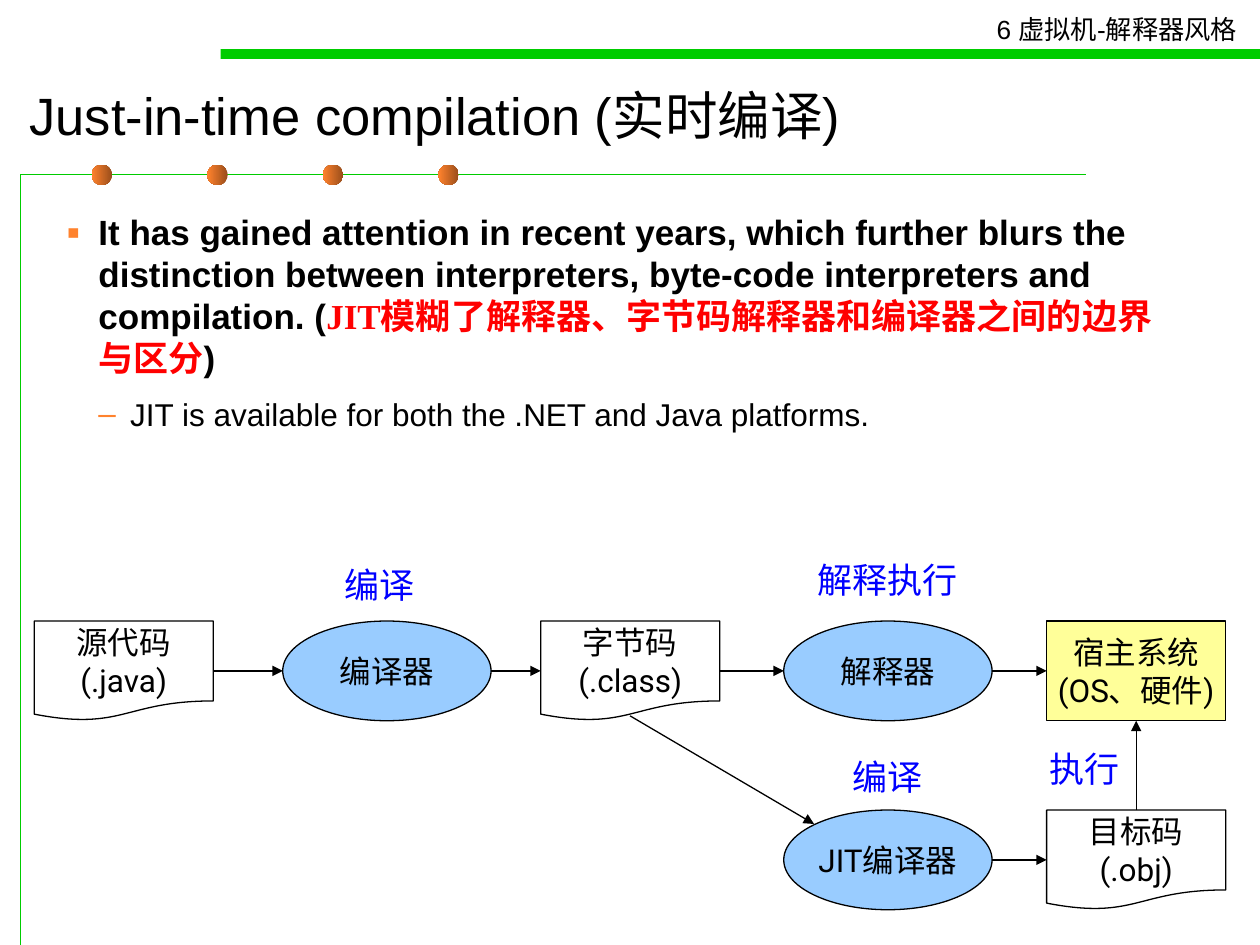
from dataclasses import dataclass

import lxml.etree
import pptx
import pptx.dml.color
import pptx.enum.shapes
import pptx.enum.text
import pptx.oxml.ns
import pptx.shapes.autoshape
import pptx.util
from pptx.util import Cm, Pt

COLORS = {
    "text": "000000",
    "rule": "00CC00",
    "bead_dark": "9A4E1B",
    "accent": "FF822D",
    "emphasis": "FF0000",
    "label": "0000FF",
    "document": "FFFFFF",
    "process": "99CCFF",
    "host": "FFFF99",
}
SHAPES = pptx.enum.shapes.MSO_SHAPE
ANCHOR = pptx.enum.text.MSO_ANCHOR
AUTO_SIZE = pptx.enum.text.MSO_AUTO_SIZE
ALIGN = pptx.enum.text.PP_ALIGN
TOP, LEFT, BOTTOM, RIGHT = range(4)
NODE_HEIGHT = 2.01
UPPER_ROW, LOWER_ROW = 12.52, 16.33


@dataclass(frozen=True)
class Kind:
    preset: int
    width: float
    fill: str


@dataclass(frozen=True)
class Node:
    kind: Kind
    left: float
    top: float
    text: str


@dataclass(frozen=True)
class Label:
    left: float
    top: float
    width: float
    text: str


@dataclass(frozen=True)
class Flow:
    source: str
    source_side: int
    target: str
    target_side: int


DOCUMENT = Kind(SHAPES.FLOWCHART_DOCUMENT, 3.61, "document")
PROCESS = Kind(SHAPES.OVAL, 4.2, "process")
HOST = Kind(SHAPES.RECTANGLE, 3.61, "host")

NODES = {
    "source": Node(DOCUMENT, 0.69, UPPER_ROW, "源代码\n(.java)"),
    "compiler": Node(PROCESS, 5.7, UPPER_ROW, "编译器"),
    "bytecode": Node(DOCUMENT, 10.9, UPPER_ROW, "字节码\n(.class)"),
    "interpreter": Node(PROCESS, 15.8, UPPER_ROW, "解释器"),
    "host": Node(HOST, 21.1, UPPER_ROW, "宿主系统\n(OS、硬件)"),
    "jit": Node(PROCESS, 15.8, LOWER_ROW, "JIT编译器"),
    "object": Node(DOCUMENT, 21.1, LOWER_ROW, "目标码\n(.obj)"),
}
FLOWS = [
    Flow("source", RIGHT, "compiler", LEFT),
    Flow("compiler", RIGHT, "bytecode", LEFT),
    Flow("bytecode", RIGHT, "interpreter", LEFT),
    Flow("interpreter", RIGHT, "host", LEFT),
    Flow("jit", RIGHT, "object", LEFT),
    Flow("object", TOP, "host", BOTTOM),
]
LABELS = [
    Label(6.69, 11.23, 2.1, "编译"),
    Label(16.23, 11.13, 3.5, "解释执行"),
    Label(20.9, 14.94, 2.1, "执行"),
    Label(16.94, 15.11, 2.1, "编译"),
]


def rgb(name: str) -> pptx.dml.color.RGBColor:
    return pptx.dml.color.RGBColor.from_string(COLORS[name])


def set_font(font, size: float, name: str, color: str = "text") -> None:
    font.size = Pt(size)
    font.name = name
    font.color.rgb = rgb(color)


def add_xml(parent, tag: str, **attributes: str):
    return lxml.etree.SubElement(parent, pptx.oxml.ns.qn(tag), **attributes)


def add_block(slide, preset: int, left: float, top: float, width: float,
              height: float) -> pptx.shapes.autoshape.Shape:
    block = slide.shapes.add_shape(preset, Cm(left), Cm(top), Cm(width), Cm(height))
    block.shadow.inherit = False
    return block


def add_node(slide, node: Node) -> pptx.shapes.autoshape.Shape:
    block = add_block(slide, node.kind.preset, node.left, node.top,
                      node.kind.width, NODE_HEIGHT)
    block.fill.solid()
    block.fill.fore_color.rgb = rgb(node.kind.fill)
    block.line.color.rgb = rgb("text")
    block.line.width = Pt(0.75)
    frame = block.text_frame
    frame.word_wrap = False
    frame.vertical_anchor = ANCHOR.MIDDLE
    frame.text = node.text
    for paragraph in frame.paragraphs:
        paragraph.alignment = ALIGN.CENTER
        set_font(paragraph.font, 18, "Roboto")
    return block


def add_label(slide, label: Label, height: float, size: float, font_name: str,
              color: str) -> None:
    frame = slide.shapes.add_textbox(Cm(label.left), Cm(label.top),
                                     Cm(label.width), Cm(height)).text_frame
    frame.word_wrap = False
    frame.auto_size = AUTO_SIZE.SHAPE_TO_FIT_TEXT
    frame.text = label.text
    set_font(frame.paragraphs[0].font, size, font_name, color)


def add_arrow(slide, start: tuple[int, int], end: tuple[int, int]):
    arrow = slide.shapes.add_connector(pptx.enum.shapes.MSO_CONNECTOR.STRAIGHT,
                                       *start, *end)
    arrow.line.color.rgb = rgb("text")
    arrow.line.width = Pt(0.75)
    properties = arrow._element.spPr
    add_xml(properties.find(pptx.oxml.ns.qn("a:ln")), "a:tailEnd", type="triangle")
    add_xml(properties, "a:effectLst")
    return arrow


def side_point(block, side: int) -> tuple[int, int]:
    across, down = {TOP: (1, 0), LEFT: (0, 1), BOTTOM: (1, 2), RIGHT: (2, 1)}[side]
    return block.left + block.width * across // 2, block.top + block.height * down // 2


def add_flow(slide, flow: Flow, blocks: dict) -> None:
    source, target = blocks[flow.source], blocks[flow.target]
    arrow = add_arrow(slide, side_point(source, flow.source_side),
                      side_point(target, flow.target_side))
    if NODES[flow.source].kind != PROCESS:
        arrow.begin_connect(source, flow.source_side)
    if NODES[flow.target].kind != PROCESS:
        arrow.end_connect(target, flow.target_side)


def format_bullet(paragraph, level: int, bullet: str, percent: int,
                  before: float, after: float) -> None:
    paragraph.level = level
    paragraph.space_before, paragraph.space_after = Pt(before), Pt(after)
    properties = paragraph._p.get_or_add_pPr()
    properties.set("marL", str(Cm(0.64 * (level + 1))))
    properties.set("indent", str(-Cm(0.64)))
    add_xml(add_xml(properties, "a:buClr"), "a:srgbClr", val=COLORS["accent"])
    add_xml(properties, "a:buSzPct", val=str(percent * 1000))
    add_xml(properties, "a:buFont", typeface="Arial")
    add_xml(properties, "a:buChar", char=bullet)


def add_decoration(slide) -> None:
    outline = slide.shapes.build_freeform(Cm(0.42), Cm(19.05), scale=1.0)
    outline.add_line_segments([(Cm(0.42), Cm(3.52)), (Cm(21.9), Cm(3.52))], close=False)
    corner = outline.convert_to_shape()
    corner.shadow.inherit = False
    corner.fill.background()
    corner.line.color.rgb = rgb("rule")
    corner.line.width = Pt(0.75)
    for index in range(4):
        bead = add_block(slide, SHAPES.OVAL, 1.85 + 2.33 * index, 3.32, 0.41, 0.41)
        bead.fill.gradient()
        bead.fill.gradient_angle = 180
        for stop, color, position in zip(bead.fill.gradient_stops,
                                         ("bead_dark", "accent"), (0, 1)):
            stop.color.rgb = rgb(color)
            stop.position = position
        bead.line.fill.background()
    bar = add_block(slide, SHAPES.RECTANGLE, 4.45, 0.99, 20.95, 0.2)
    bar.fill.solid()
    bar.fill.fore_color.rgb = rgb("rule")
    bar.line.fill.background()


def fill_placeholders(slide) -> None:
    title, body = slide.shapes.title, slide.placeholders[1]
    title.left, title.top, title.width, title.height = Cm(0.34), Cm(1.41), Cm(23.6), Cm(1.8)
    body.left, body.top, body.width, body.height = Cm(1.09), Cm(4.12), Cm(22.81), Cm(14.2)
    for placeholder in (title, body):
        placeholder.text_frame.auto_size = AUTO_SIZE.NONE
    title.text_frame.vertical_anchor = ANCHOR.MIDDLE
    title.text_frame.text = "Just-in-time compilation (实时编译)"
    heading = title.text_frame.paragraphs[0]
    heading.alignment = ALIGN.LEFT
    set_font(heading.font, 30, "Arial")

    attention = body.text_frame.paragraphs[0]
    format_bullet(attention, 0, "▪", 110, 0, 3.7)
    attention.font.size, attention.font.bold = Pt(20), True
    for text, font_name, color in (
        ("It has gained attention in recent years, which further blurs the distinction "
         "between interpreters, byte-code interpreters and compilation. (", "Arial", "text"),
        ("JIT模糊了解释器、字节码解释器和编译器之间的边界与区分", "Times New Roman", "emphasis"),
        (")", "Arial", "text"),
    ):
        run = attention.add_run()
        run.text = text
        run.font.name, run.font.color.rgb = font_name, rgb(color)
    platforms = body.text_frame.add_paragraph()
    platforms.text = "JIT is available for both the .NET and Java platforms."
    format_bullet(platforms, 1, "–", 100, 5.6, 3.4)
    set_font(platforms.font, 18, "Arial")


def main() -> None:
    deck = pptx.Presentation()
    deck.slide_width, deck.slide_height = Cm(25.4), Cm(19.05)
    slide = deck.slides.add_slide(deck.slide_layouts[1])
    add_decoration(slide)
    add_label(slide, Label(19.84, 0.15, 5.74, "6 虚拟机-解释器风格"), 0.89, 15, "Arial", "text")
    fill_placeholders(slide)
    blocks = {name: add_node(slide, node) for name, node in NODES.items()}
    for flow in FLOWS:
        add_flow(slide, flow, blocks)
    add_arrow(slide, (Cm(12.7), Cm(14.43)), (Cm(16.41), Cm(16.61)))
    for label in LABELS:
        add_label(slide, label, 1.12, 20, "Roboto", "label")
    deck.save("out.pptx")


if __name__ == "__main__":
    main()
